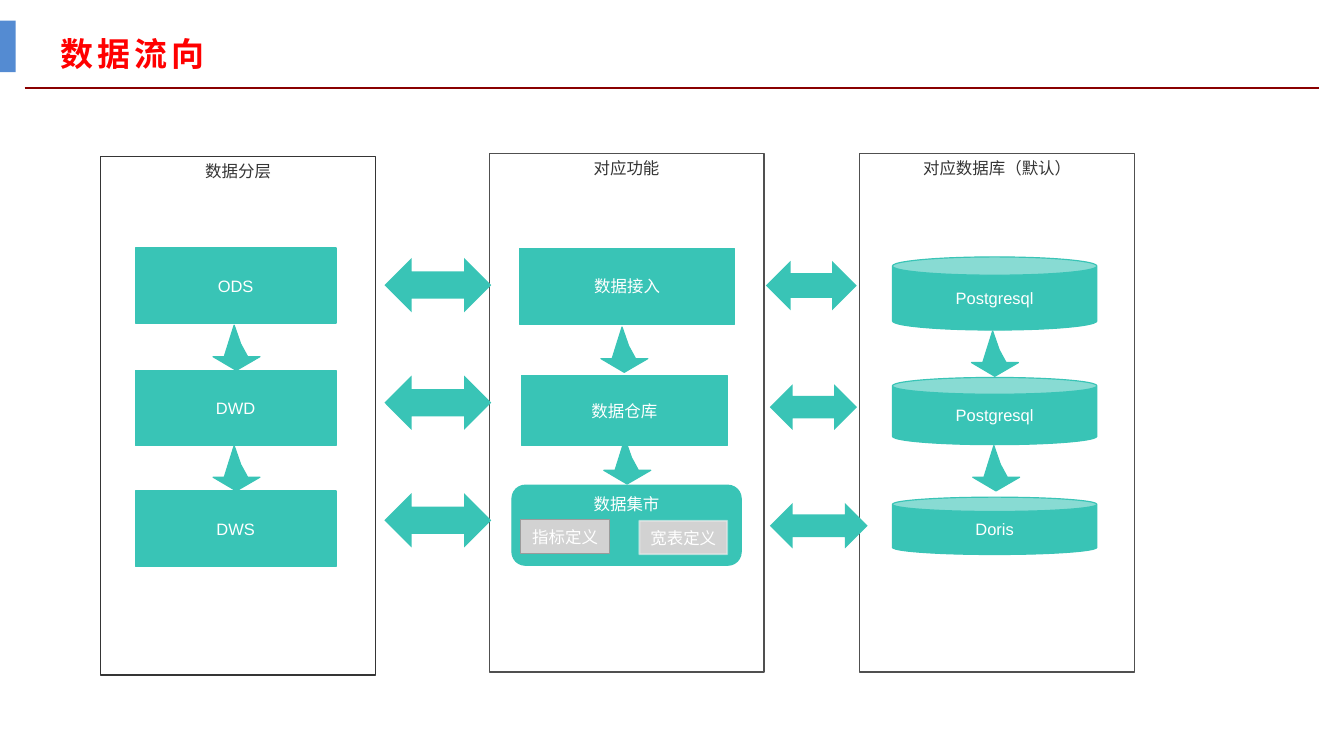
"""Build the data flow slide: layers, functions and databases."""
from dataclasses import dataclass
from typing import Optional

from lxml import etree
from pptx import Presentation
from pptx.dml.color import RGBColor
from pptx.enum.shapes import MSO_CONNECTOR, MSO_SHAPE
from pptx.enum.text import MSO_ANCHOR, PP_ALIGN
from pptx.oxml.ns import qn
from pptx.util import Pt

RECT = MSO_SHAPE.RECTANGLE
ROUND = MSO_SHAPE.ROUNDED_RECTANGLE
CAN = MSO_SHAPE.CAN
BOTH = MSO_SHAPE.LEFT_RIGHT_ARROW
STRAIGHT = MSO_CONNECTOR.STRAIGHT
TOP = MSO_ANCHOR.TOP
MIDDLE = MSO_ANCHOR.MIDDLE
CENTER = PP_ALIGN.CENTER
LEFT = PP_ALIGN.LEFT

WHITE = RGBColor(0xFF, 0xFF, 0xFF)
TEAL = RGBColor(0x39, 0xC4, 0xB6)
DARK = RGBColor(0x35, 0x35, 0x35)
GRAY = RGBColor(0x50, 0x50, 0x50)
SILVER = RGBColor(0xD2, 0xD2, 0xD2)
STEEL = RGBColor(0x9B, 0x9B, 0x9B)
PALE = RGBColor(0xF9, 0xF9, 0xF9)
BLUE = RGBColor(0x54, 0x8B, 0xD2)
RED = RGBColor(0xFF, 0x00, 0x00)
MAROON = RGBColor(0x8A, 0x00, 0x00)

SANS = "Noto Sans CJK SC"
ARIAL = "Arial"


@dataclass
class Box:
    """A preset shape with optional text."""
    x: float
    y: float
    w: float
    h: float
    text: str = ""
    kind: int = RECT
    fill: RGBColor = TEAL
    line: Optional[RGBColor] = TEAL
    width: float = 0.85
    alpha: int = 100
    ink: RGBColor = WHITE
    font: str = ARIAL
    anchor: int = MIDDLE
    inset: float = 0


@dataclass
class Arrow:
    """The top left corner of a down arrow."""
    x: float
    y: float


PANELS = [
    Box(x, y, 200.2, 378, text, fill=WHITE, line=edge, ink=DARK, font=SANS,
        anchor=TOP, inset=7.2)
    for x, y, text, edge in [
        (626.4, 111.6, "对应数据库（默认）", GRAY),
        (73.4, 113.8, "数据分层", DARK),
        (356.4, 111.6, "对应功能", GRAY),
    ]
]
LAYERS = [Box(98.6, y, 146.2, 54.7, text)
          for y, text in [(180.7, "ODS"), (270, "DWD"), (357.8, "DWS")]]
STEPS = [
    Box(378.7, 180.9, 156.4, 55.4, "数据接入"),
    Box(380, 273.6, 149.8, 51.1, "数据仓库"),
]
STORES = [
    Box(650.2, y, 149, h, text, CAN)
    for y, h, text in [(187.2, 53.3, "Postgresql"), (275, 49, "Postgresql"),
                       (362.2, 41.8, "Doris")]
]
MART = [
    Box(373, 353.5, 167, 58.3, "数据集市", ROUND, anchor=TOP),
    Box(379.4, 378.7, 64.8, 24.5, "指标定义", fill=SILVER, line=STEEL, font=SANS),
    Box(465.8, 379.4, 64.1, 24.5, "宽表定义", fill=SILVER, line=PALE,
        width=1.35, alpha=50, font=SANS),
]
LINKS = [Box(280.1, 187.9 + 85.7 * row, 77.8, 39.6, kind=BOTH, line=None)
         for row in range(3)]
LINKS += [Box(x, y, w, h, kind=BOTH, line=None) for x, y, w, h in [
    (558, 190.1, 66.2, 36), (560.9, 280.1, 63.4, 33.1), (560.9, 366.5, 71.3, 33.1)]]
BAR = Box(0, 15.1, 11.5, 37.4, fill=BLUE, line=None)

OUTLINE = [(0, 23), (8.2, 23), (15.4, 0), (20.2, 13.8), (25.2, 23), (34.2, 23), (17, 33)]
ARROWS = [
    Arrow(155.2, 236.9), Arrow(155.2, 324.7),
    Arrow(437.8, 238.3), Arrow(439.9, 319.7),
    Arrow(707.8, 241.2), Arrow(708.7, 324.7),
]


def apply(item: object, values: dict) -> None:
    """Set every named value on the item."""
    for name, value in values.items():
        setattr(item, name, value)


def write(frame, text: str, size: float, font: str, ink: RGBColor,
          align: int, anchor: int, inset: float):
    """Fill a text frame with one formatted run and return the run."""
    apply(frame, {
        "word_wrap": True, "vertical_anchor": anchor,
        "margin_left": Pt(inset), "margin_right": Pt(inset),
        "margin_top": Pt(3.6), "margin_bottom": Pt(3.6),
    })
    para = frame.paragraphs[0]
    para.alignment = align
    run = para.add_run()
    run.text = text
    apply(run.font, {"size": Pt(size), "name": font})
    run.font.color.rgb = ink
    east = etree.SubElement(run.font._element, qn("a:ea"))
    east.set("typeface", SANS)
    return run


def paint(shape, fill: RGBColor, line: Optional[RGBColor], width: float) -> None:
    """Set the fill and outline of a shape."""
    shape.shadow.inherit = False
    shape.fill.solid()
    shape.fill.fore_color.rgb = fill
    if line is None:
        shape.line.fill.background()
    else:
        shape.line.color.rgb = line
        shape.line.width = Pt(width)


def draw_box(slide, box: Box) -> None:
    """Draw one preset shape."""
    shape = slide.shapes.add_shape(box.kind, Pt(box.x), Pt(box.y), Pt(box.w), Pt(box.h))
    paint(shape, box.fill, box.line, box.width)
    if box.alpha < 100:
        tint = shape._element.spPr.find(".//" + qn("a:ln") + "//" + qn("a:srgbClr"))
        etree.SubElement(tint, qn("a:alpha")).set("val", str(box.alpha * 1000))
    if box.text:
        write(shape.text_frame, box.text, 12, box.font, box.ink, CENTER,
              box.anchor, box.inset)


def draw_arrow(slide, arrow: Arrow) -> None:
    """Draw one down arrow."""
    spots = [(Pt(arrow.x + x), Pt(arrow.y + y)) for x, y in OUTLINE]
    pen = slide.shapes.build_freeform(*spots[0])
    pen.add_line_segments(spots[1:], close=True)
    paint(pen.convert_to_shape(), TEAL, TEAL, 0.85)


def draw_head(slide) -> None:
    """Draw the title, its rule and the side bar."""
    rule = slide.shapes.add_connector(STRAIGHT, Pt(18), Pt(64.1), Pt(961.2), Pt(64.1))
    rule.line.color.rgb = MAROON
    rule.line.width = Pt(1.5)
    etree.SubElement(rule._element.spPr, qn("a:effectLst"))
    draw_box(slide, BAR)
    title = slide.shapes.add_textbox(Pt(36.7), Pt(16.6), Pt(691.9), Pt(47.5))
    run = write(title.text_frame, "数据流向", 24, "Cabin", RED, LEFT, MIDDLE, 7.2)
    run.font.bold = True
    run.font._element.set("spc", "300")
    title.text_frame.paragraphs[0].line_spacing = 0.9


def main() -> None:
    """Build and save the slide."""
    deck = Presentation()
    apply(deck, {"slide_width": Pt(979.2), "slide_height": Pt(550.8)})
    slide = deck.slides.add_slide(deck.slide_layouts[6])
    draw_head(slide)
    for box in PANELS + LAYERS + STEPS + STORES + LINKS + MART:
        draw_box(slide, box)
    for arrow in ARROWS:
        draw_arrow(slide, arrow)
    deck.save("out.pptx")


if __name__ == "__main__":
    main()
